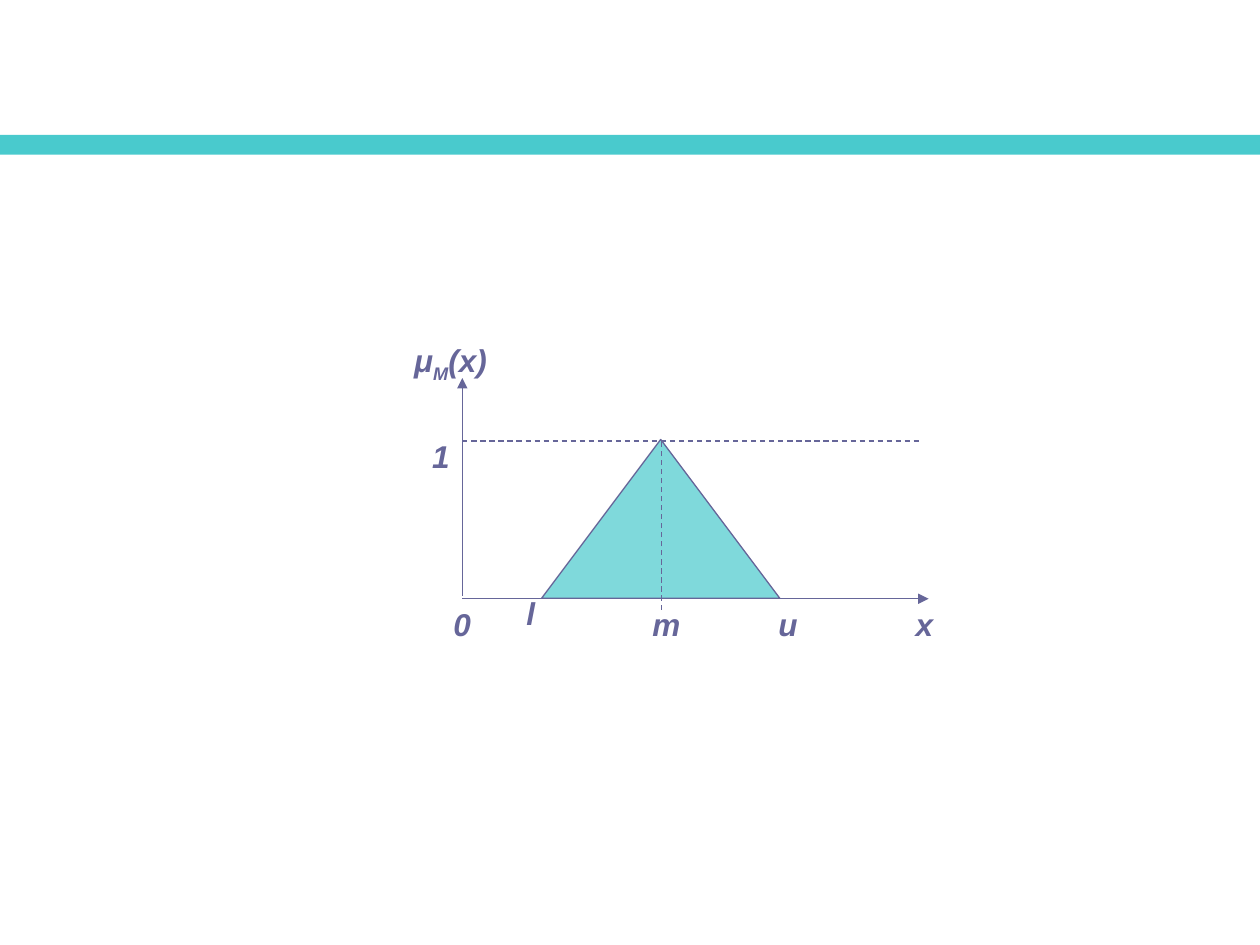
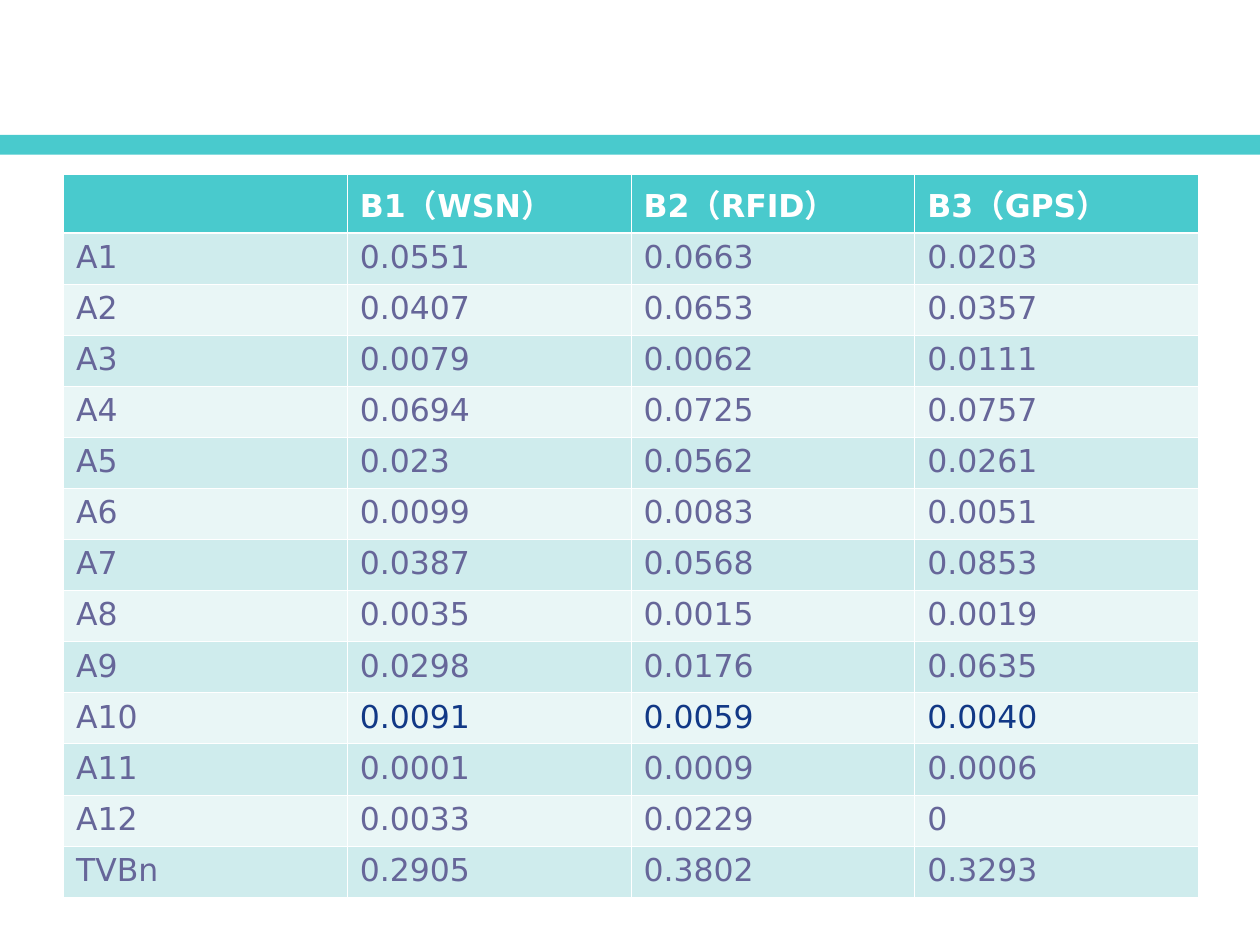
from lxml.etree import SubElement
from pptx import Presentation
from pptx.dml.color import RGBColor
from pptx.enum.dml import MSO_LINE
from pptx.enum.shapes import MSO_CONNECTOR, MSO_SHAPE
from pptx.oxml.ns import qn
from pptx.util import Cm, Pt

COLORS = {
    "teal": "49CACD",
    "violet": "666699",
    "navy": "113886",
    "white": "FFFFFF",
    "odd_row": "CFECED",
    "even_row": "E9F6F6",
}
SLIDE_WIDTH = 25.4
SLIDE_HEIGHT = 19.05
BLANK_LAYOUT = 6
TEXT_SIZE = 18
LABEL_FONT = "Arial"
TABLE_FONT = "DejaVu Sans"

AXIS_X = 9.32
BASELINE_Y = 12.07
LEVEL_Y = 8.89
PEAK_X = 13.34
SUPPORT_LEFT, SUPPORT_WIDTH = 10.92, 4.8
LABEL_WIDTH, LABEL_HEIGHT = 0.79, 1.02
AXIS_LABELS = [
    ("x", 18.21, BASELINE_Y),
    ("1", 8.46, 8.69),
    ("0", 8.89, BASELINE_Y),
    ("l", 10.36, 11.86),
    ("m", 12.9, BASELINE_Y),
    ("u", 15.44, BASELINE_Y),
]

HEADER = ["", "B1（WSN）", "B2（RFID）", "B3（GPS）"]
SCORES = [
    ["A1", "0.0551", "0.0663", "0.0203"],
    ["A2", "0.0407", "0.0653", "0.0357"],
    ["A3", "0.0079", "0.0062", "0.0111"],
    ["A4", "0.0694", "0.0725", "0.0757"],
    ["A5", "0.023", "0.0562", "0.0261"],
    ["A6", "0.0099", "0.0083", "0.0051"],
    ["A7", "0.0387", "0.0568", "0.0853"],
    ["A8", "0.0035", "0.0015", "0.0019"],
    ["A9", "0.0298", "0.0176", "0.0635"],
    ["A10", "0.0091", "0.0059", "0.0040"],
    ["A11", "0.0001", "0.0009", "0.0006"],
    ["A12", "0.0033", "0.0229", "0"],
    ["TVBn", "0.2905", "0.3802", "0.3293"],
]
HIGHLIGHTED = "A10"
ROW_HEIGHT = 1.03
COLUMN_WIDTH = 5.72
THIN, THICK = 0.45, 1.47


def color(name):
    return RGBColor.from_string(COLORS[name])


def paint(fill, name):
    fill.solid()
    fill.fore_color.rgb = color(name)


def style_line(line):
    paint(line.fill, "violet")
    line.width = Pt(0.75)


def add_span(para, text, font, shade, bold=False, italic=False):
    span = para.add_run()
    span.text = text
    span.font.name = font
    span.font.size = Pt(TEXT_SIZE)
    span.font.bold = bold
    span.font.italic = italic
    span.font.color.rgb = color(shade)
    return span


def add_preset(page, preset, left, top, width, height, shade):
    shape = page.shapes.add_shape(preset, Cm(left), Cm(top), Cm(width), Cm(height))
    shape.shadow.inherit = False
    paint(shape.fill, shade)
    shape.line.fill.background()
    return shape


def add_page(deck):
    page = deck.slides.add_slide(deck.slide_layouts[BLANK_LAYOUT])
    add_preset(page, MSO_SHAPE.RECTANGLE, 0, 2.72, SLIDE_WIDTH, 0.4, "teal")
    return page


def add_line(page, start, end, dashed=False, arrow=False):
    points = [Cm(value) for value in (*start, *end)]
    connector = page.shapes.add_connector(MSO_CONNECTOR.STRAIGHT, *points)
    style_line(connector.line)
    if dashed:
        connector.line.dash_style = MSO_LINE.DASH
    properties = connector._element.spPr
    if arrow:
        SubElement(properties.find(qn("a:ln")), qn("a:tailEnd"), type="triangle")
    SubElement(properties, qn("a:effectLst"))


def add_label(page, parts, left, top, width=LABEL_WIDTH, height=LABEL_HEIGHT):
    box = page.shapes.add_textbox(Cm(left), Cm(top), Cm(width), Cm(height))
    box.text_frame.word_wrap = True
    para = box.text_frame.paragraphs[0]
    for text, baseline in parts:
        span = add_span(para, text, LABEL_FONT, "violet", bold=True, italic=True)
        if baseline:
            span.font._element.set("baseline", str(baseline * 1000))


def add_membership_triangle(page):
    triangle = add_preset(page, MSO_SHAPE.ISOSCELES_TRIANGLE, SUPPORT_LEFT, 8.86,
                          SUPPORT_WIDTH, 3.2, "teal")
    style_line(triangle.line)
    shade = triangle._element.spPr.find(qn("a:solidFill"))[0]
    SubElement(shade, qn("a:alpha"), val="70000")


def add_membership_plot(page):
    add_membership_triangle(page)
    add_line(page, (AXIS_X, BASELINE_Y), (18.72, BASELINE_Y), arrow=True)
    add_line(page, (AXIS_X, LEVEL_Y), (18.52, LEVEL_Y), dashed=True)
    add_line(page, (PEAK_X, 12.29), (PEAK_X, LEVEL_Y), dashed=True)
    add_line(page, (AXIS_X, 12.01), (AXIS_X, 7.62), arrow=True)
    add_label(page, [("μ", 0), ("M", -25), ("(x)", 0)], 8.1, 6.76, 2.39, 1.12)
    for text, left, top in AXIS_LABELS:
        add_label(page, [(text, 0)], left, top)


def set_borders(cell, top, bottom):
    properties = cell._tc.get_or_add_tcPr()
    for side, width in (("L", THIN), ("R", THIN), ("T", top), ("B", bottom)):
        border = SubElement(properties, qn(f"a:ln{side}"), w=str(Pt(width)))
        fill = SubElement(border, qn("a:solidFill"))
        SubElement(fill, qn("a:srgbClr"), val=COLORS["white"])


def fill_cell(cell, text, row, highlighted):
    set_borders(cell, THICK if row == 1 else THIN, THICK if row == 0 else THIN)
    if row == 0:
        background, shade = "teal", "white"
    else:
        background = "odd_row" if row % 2 else "even_row"
        shade = "navy" if highlighted else "violet"
    paint(cell.fill, background)
    if text:
        add_span(cell.text_frame.paragraphs[0], text, TABLE_FONT, shade, bold=row == 0)


def add_score_table(page):
    rows = [HEADER, *SCORES]
    frame = page.shapes.add_table(
        len(rows), len(HEADER), Cm(1.28), Cm(3.52),
        Cm(COLUMN_WIDTH * len(HEADER)), Cm(ROW_HEIGHT * len(rows)))
    table = frame.table
    for column in table.columns:
        column.width = Cm(COLUMN_WIDTH)
    for row, values in enumerate(rows):
        table.rows[row].height = Cm(ROW_HEIGHT)
        for column, text in enumerate(values):
            highlighted = values[0] == HIGHLIGHTED and column > 0
            fill_cell(table.cell(row, column), text, row, highlighted)


def main():
    deck = Presentation()
    deck.slide_width = Cm(SLIDE_WIDTH)
    deck.slide_height = Cm(SLIDE_HEIGHT)
    add_membership_plot(add_page(deck))
    add_score_table(add_page(deck))
    deck.save("out.pptx")


if __name__ == "__main__":
    main()
